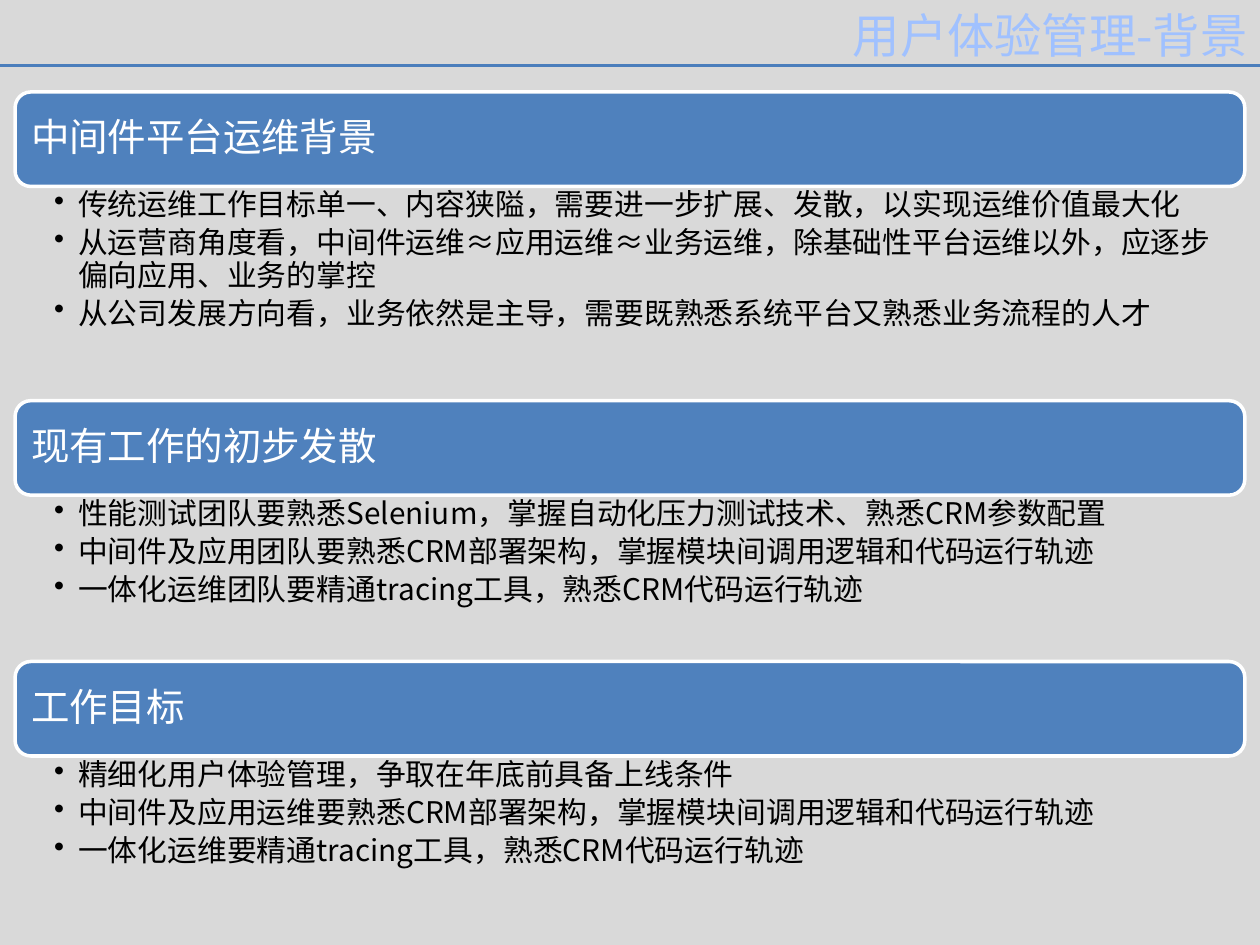
import dataclasses

import lxml.etree
import pptx
import pptx.dml.color
import pptx.enum.shapes
import pptx.enum.text
import pptx.oxml.ns
import pptx.presentation
import pptx.shapes.base
import pptx.slide
import pptx.text.text
import pptx.util

Inches = pptx.util.Inches
Pt = pptx.util.Pt
qn = pptx.oxml.ns.qn

FONT = "Noto Sans CJK SC"
COLORS = {
    "background": "D9D9D9",
    "title": "A0C1FF",
    "rule": "4B7EBC",
    "band": "4F81BD",
    "white": "FFFFFF",
    "black": "000000",
}
LEFT, WIDTH = 0.12, 9.76
FIRST_TOP, BAND_HEIGHT = 0.73, 0.75
BULLET_INDENT = 0.19


@dataclasses.dataclass(frozen=True)
class Section:
    heading: str
    bullets: tuple[str, ...]
    body_height: float


SECTIONS = (
    Section(
        "中间件平台运维背景",
        (
            "传统运维工作目标单一、内容狭隘，需要进一步扩展、发散，以实现运维价值最大化",
            "从运营商角度看，中间件运维≈应用运维≈业务运维，除基础性平台运维以外，应逐步偏向应用、业务的掌控",
            "从公司发展方向看，业务依然是主导，需要既熟悉系统平台又熟悉业务流程的人才",
        ),
        1.7,
    ),
    Section(
        "现有工作的初步发散",
        (
            "性能测试团队要熟悉Selenium，掌握自动化压力测试技术、熟悉CRM参数配置",
            "中间件及应用团队要熟悉CRM部署架构，掌握模块间调用逻辑和代码运行轨迹",
            "一体化运维团队要精通tracing工具，熟悉CRM代码运行轨迹",
        ),
        1.32,
    ),
    Section(
        "工作目标",
        (
            "精细化用户体验管理，争取在年底前具备上线条件",
            "中间件及应用运维要熟悉CRM部署架构，掌握模块间调用逻辑和代码运行轨迹",
            "一体化运维要精通tracing工具，熟悉CRM代码运行轨迹",
        ),
        1.32,
    ),
)


def color(name: str) -> pptx.dml.color.RGBColor:
    return pptx.dml.color.RGBColor.from_string(COLORS[name])


def add_run(paragraph: pptx.text.text._Paragraph, text: str, size: float, color_name: str) -> None:
    run = paragraph.add_run()
    run.text = text
    run.font.size = Pt(size)
    run.font.name = FONT
    run.font.color.rgb = color(color_name)
    east_asian = lxml.etree.SubElement(run.font._element, qn("a:ea"))
    east_asian.set("typeface", FONT)


def set_margins(frame: pptx.text.text.TextFrame, left: float, top: float, right: float, bottom: float) -> None:
    frame.margin_left, frame.margin_top = Inches(left), Inches(top)
    frame.margin_right, frame.margin_bottom = Inches(right), Inches(bottom)


def add_bullet(paragraph: pptx.text.text._Paragraph) -> None:
    properties = paragraph._p.get_or_add_pPr()
    properties.set("marL", str(Inches(BULLET_INDENT)))
    properties.set("indent", str(-Inches(BULLET_INDENT)))
    lxml.etree.SubElement(properties, qn("a:buChar")).set("char", "•")


def format_title(slide: pptx.slide.Slide) -> None:
    title = slide.shapes.title
    title.left, title.top = Inches(5.39), Inches(0)
    title.width, title.height = Inches(4.61), Inches(0.56)
    frame = title.text_frame
    frame.auto_size = pptx.enum.text.MSO_AUTO_SIZE.NONE
    frame.vertical_anchor = pptx.enum.text.MSO_ANCHOR.TOP
    set_margins(frame, 0.1, 0.05, 0.1, 0.05)
    paragraph = frame.paragraphs[0]
    paragraph.alignment = pptx.enum.text.PP_ALIGN.RIGHT
    add_run(paragraph, "用户体验管理-背景", 27, "title")


def add_rule(slide: pptx.slide.Slide) -> None:
    rule = slide.shapes.add_connector(
        pptx.enum.shapes.MSO_CONNECTOR.STRAIGHT, Inches(0), Inches(0.52), Inches(10), Inches(0.52)
    )
    rule.line.color.rgb = color("rule")
    rule.line.width = Pt(2)
    lxml.etree.SubElement(rule._element.spPr, qn("a:effectLst"))


def add_band(slide: pptx.slide.Slide, heading: str, top: float) -> None:
    band = slide.shapes.add_shape(
        pptx.enum.shapes.MSO_SHAPE.ROUNDED_RECTANGLE,
        Inches(LEFT), Inches(top), Inches(WIDTH), Inches(BAND_HEIGHT),
    )
    band.shadow.inherit = False
    band.fill.solid()
    band.fill.fore_color.rgb = color("band")
    band.line.color.rgb = color("white")
    band.line.width = Pt(2)
    frame = band.text_frame
    frame.word_wrap = True
    frame.vertical_anchor = pptx.enum.text.MSO_ANCHOR.MIDDLE
    set_margins(frame, 0.09, 0.09, 0.09, 0.09)
    paragraph = frame.paragraphs[0]
    paragraph.alignment = pptx.enum.text.PP_ALIGN.LEFT
    paragraph.line_spacing = 0.9
    add_run(paragraph, heading, 22, "white")


def add_body(slide: pptx.slide.Slide, section: Section, top: float) -> None:
    body = slide.shapes.add_textbox(
        Inches(LEFT), Inches(top), Inches(WIDTH), Inches(section.body_height)
    )
    frame = body.text_frame
    frame.word_wrap = True
    set_margins(frame, 0.31, 0.03, 0.17, 0.03)
    for index, bullet in enumerate(section.bullets):
        paragraph = frame.add_paragraph() if index else frame.paragraphs[0]
        paragraph.line_spacing = 0.9
        paragraph.space_after = Pt(3.4)
        add_bullet(paragraph)
        add_run(paragraph, bullet, 17, "black")


def main() -> None:
    presentation = pptx.Presentation()
    presentation.slide_width, presentation.slide_height = Inches(10), Inches(7.5)
    slide = presentation.slides.add_slide(presentation.slide_layouts[5])
    slide.background.fill.solid()
    slide.background.fill.fore_color.rgb = color("background")
    add_rule(slide)
    format_title(slide)
    top = FIRST_TOP
    for section in SECTIONS:
        add_band(slide, section.heading, top)
        add_body(slide, section, top + BAND_HEIGHT)
        top += BAND_HEIGHT + section.body_height
    presentation.save("out.pptx")


if __name__ == "__main__":
    main()
